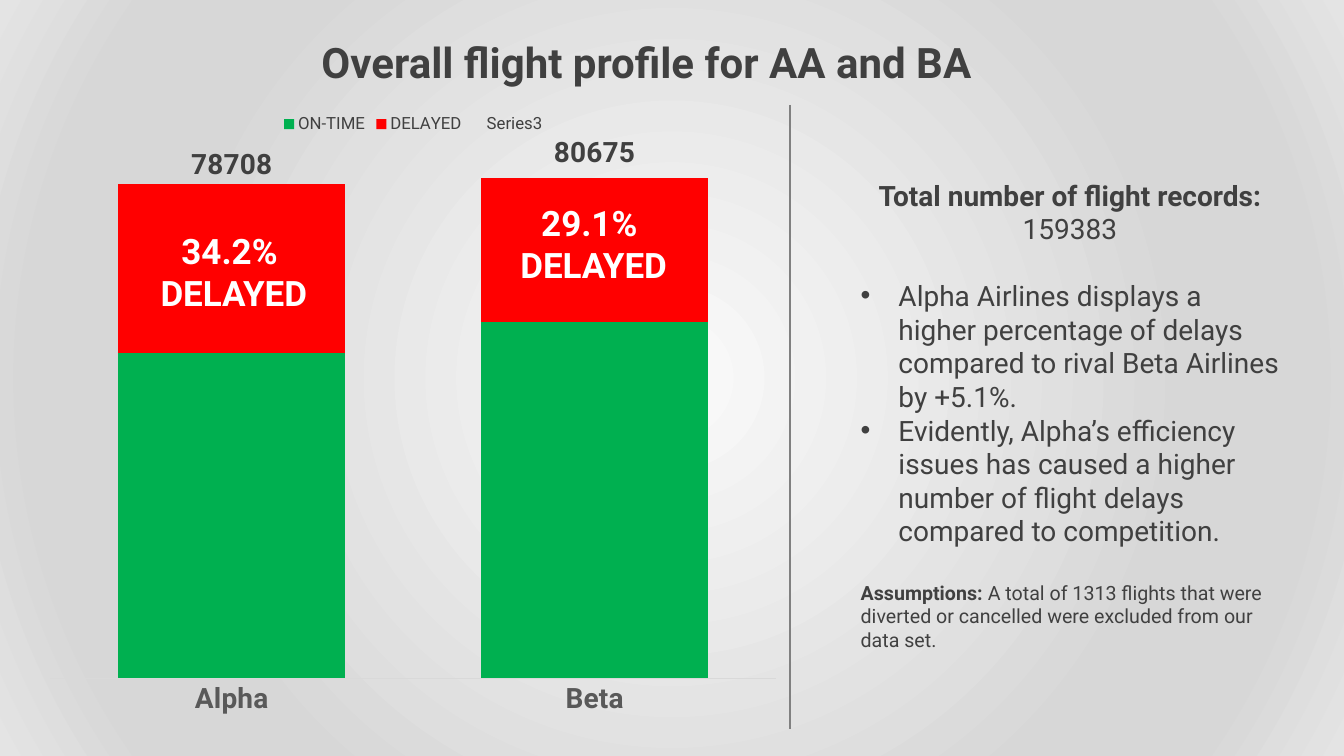
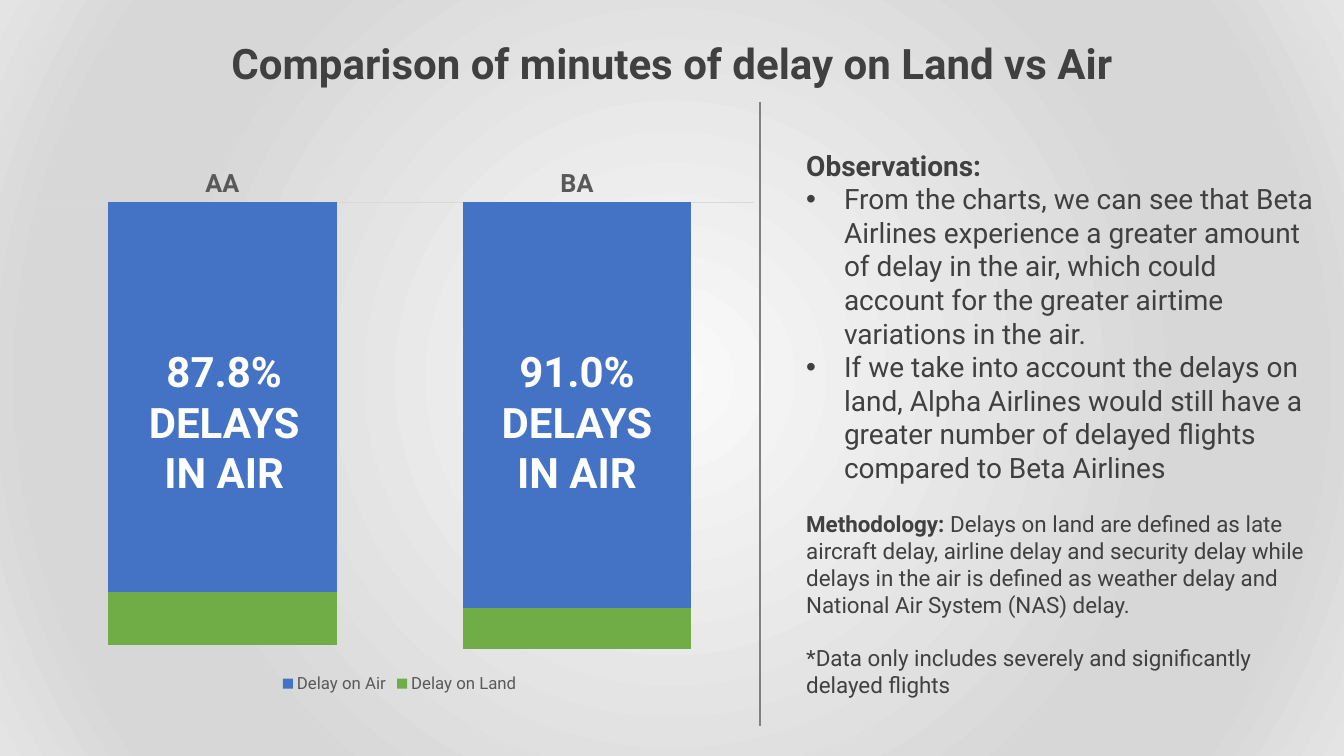
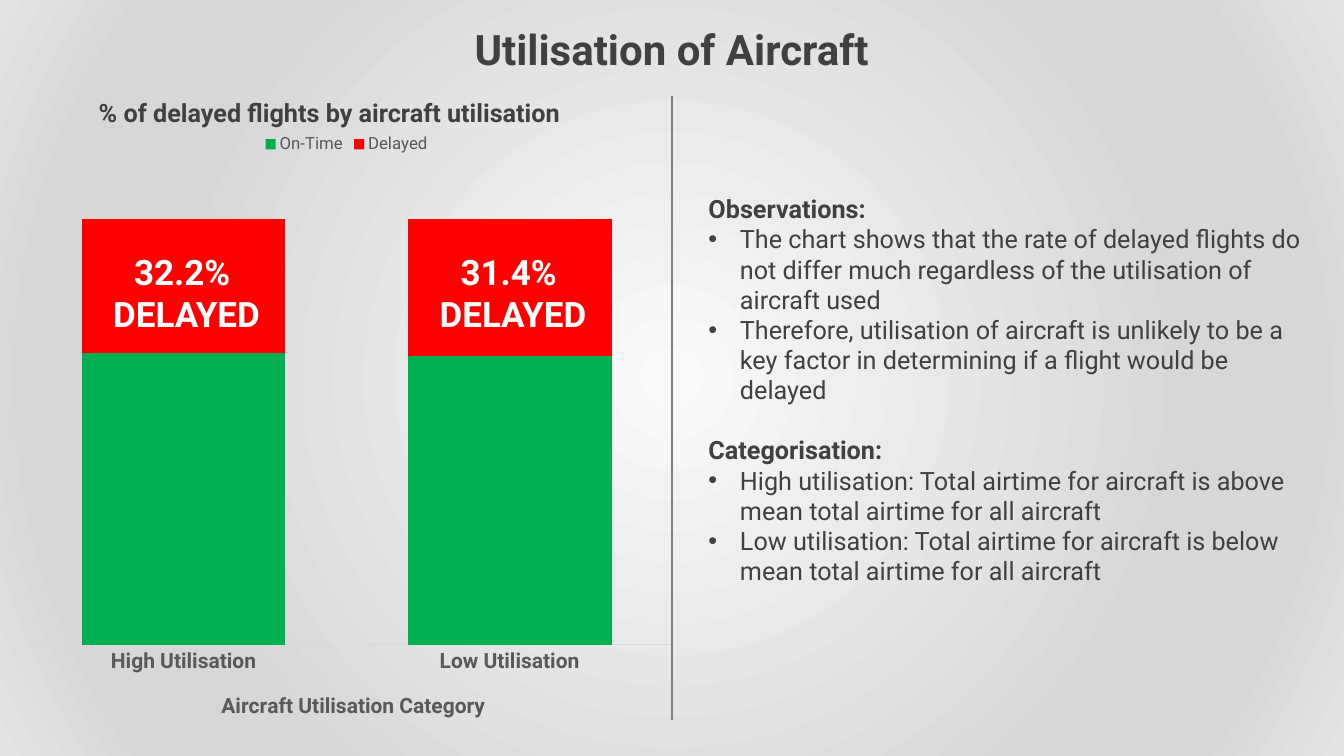
from dataclasses import dataclass
from typing import Optional

from pptx import Presentation
from pptx import util as u
from pptx.chart import data as chart_data
from pptx.dml import color
from pptx.enum import chart as charts, shapes, text
from pptx.oxml import ns, parse_xml
from pptx.oxml import xmlchemy as ox


@dataclass(frozen=True)
class Theme:
    font: str = "Roboto"
    chart_font: str = "Calibri"
    ink: str = "404040"
    axis_ink: str = "595959"
    axis_line: str = "D9D9D9"
    divider: str = "808080"
    white: str = "FFFFFF"
    green: str = "00B050"
    red: str = "FF0000"
    blue: str = "4472C4"
    leaf: str = "70AD47"
    backdrop: tuple = ((0, "FAFAFA"), (68, "D7D7D7"), (83, "D7D7D7"), (100, "E4E4E4"))
    title_size: float = 30
    tag_size: float = 25
    large_size: float = 20
    medium_size: float = 18
    note_size: float = 16
    small_size: float = 14
    legend_size: float = 12
    line_height: float = 1.18


THEME = Theme()
CENTER = text.PP_ALIGN.CENTER
DIVIDER_HEIGHT = 445.7
TITLE_HEIGHT = 44


@dataclass(frozen=True)
class Box:
    left: float
    top: float
    width: float
    height: float

    def lengths(self) -> tuple:
        return tuple(u.Pt(v) for v in (self.left, self.top, self.width, self.height))


@dataclass(frozen=True)
class Para:
    """A paragraph: a bold lead followed by regular words."""
    lead: str = ""
    words: str = ""
    size: float = THEME.large_size
    ink: str = THEME.ink
    align: Optional[text.PP_ALIGN] = None
    indent: float = 0
    gap: float = 0


@dataclass(frozen=True)
class Series:
    name: str
    values: tuple
    fill: str


@dataclass(frozen=True)
class Bars:
    """A stacked column chart; plot holds fractions of the chart frame."""
    box: Box
    plot: Box
    categories: tuple
    series: tuple
    maximum: float
    gap: int
    label_size: float
    legend_ink: str
    reverse: bool = False
    axis_title: str = ""
    totals: tuple = ()


def rgb(value: str) -> color.RGBColor:
    return color.RGBColor.from_string(value)


def style(font, size: float, ink: str, bold: bool = False) -> None:
    font.name = THEME.font
    font.size = u.Pt(size)
    font.bold = bold
    font.color.rgb = rgb(ink)


def set_backdrop(layout) -> None:
    stops = "".join(
        f'<a:gs pos="{place * 1000}"><a:srgbClr val="{shade}"/></a:gs>'
        for place, shade in THEME.backdrop
    )
    layout.element.cSld.insert(0, parse_xml(
        f'<p:bg {ns.nsdecls("p", "a")}><p:bgPr><a:gradFill rotWithShape="1">'
        f'<a:gsLst>{stops}</a:gsLst><a:path path="circle">'
        '<a:fillToRect l="50000" t="50000" r="50000" b="50000"/></a:path>'
        '</a:gradFill><a:effectLst/></p:bgPr></p:bg>'
    ))


def add_bullet(para, indent: float) -> None:
    props = para._p.get_or_add_pPr()
    props.set("marL", str(u.Pt(indent)))
    props.set("indent", str(-u.Pt(indent)))
    for tag in ('buFont typeface="Arial"', 'buChar char="•"'):
        props.append(parse_xml(f'<a:{tag} {ns.nsdecls("a")}/>'))


def add_text(slide, box: Box, paras: list, wrap: bool = False) -> None:
    frame = slide.shapes.add_textbox(*box.lengths()).text_frame
    frame.word_wrap = wrap
    frame.auto_size = text.MSO_AUTO_SIZE.SHAPE_TO_FIT_TEXT
    for number, item in enumerate(paras):
        para = frame.add_paragraph() if number else frame.paragraphs[0]
        if item.indent:
            add_bullet(para, item.indent)
        if item.align is not None:
            para.alignment = item.align
        if item.gap:
            para.space_before = u.Pt(item.gap)
        for words, bold in ((item.lead, True), (item.words, False)):
            if words:
                span = para.add_run()
                span.text = words
                style(span.font, item.size, item.ink, bold)


def add_title(slide, words: str, left: float, top: float, width: float,
              align: Optional[text.PP_ALIGN] = CENTER) -> None:
    add_text(slide, Box(left, top, width, TITLE_HEIGHT),
             [Para(words, size=THEME.title_size, align=align)])


def add_tag(slide, box: Box, lines: tuple, size: float) -> None:
    """Write a white label over a column."""
    add_text(slide, box, [Para(line, size=size, ink=THEME.white, align=CENTER) for line in lines])


def add_divider(slide, x: float, top: float) -> None:
    line = slide.shapes.add_connector(
        shapes.MSO_CONNECTOR.STRAIGHT, u.Pt(x), u.Pt(top), u.Pt(x), u.Pt(top + DIVIDER_HEIGHT))
    line.line.color.rgb = rgb(THEME.divider)
    line.line.width = u.Pt(1.5)
    line._element.spPr.append(parse_xml(f'<a:effectLst {ns.nsdecls("a")}/>'))


def manual_layout(entries: dict, inner: bool = False):
    target = '<c:layoutTarget val="inner"/>' if inner else ""
    modes = '<c:xMode val="edge"/><c:yMode val="edge"/>'
    values = "".join(f'<c:{key} val="{value}"/>' for key, value in entries.items())
    return parse_xml(f'<c:layout {ns.nsdecls("c")}><c:manualLayout>'
                     f'{target}{modes}{values}</c:manualLayout></c:layout>')


def replace_layout(parent, layout, position: int) -> None:
    for old in parent.findall(ns.qn("c:layout")):
        parent.remove(old)
    parent.insert(position, layout)


def show_totals(chart) -> None:
    """Turn the last column series into an unseen line that carries the totals."""
    columns = chart._chartSpace.xpath(".//c:barChart")[0]
    series = columns.findall(ns.qn("c:ser"))[-1]
    for flag in series.findall(ns.qn("c:invertIfNegative")):
        series.remove(flag)
    axes = "".join(f'<c:axId val="{axis.get("val")}"/>' for axis in columns.findall(ns.qn("c:axId")))
    line_chart = parse_xml(
        f'<c:lineChart {ns.nsdecls("c")}><c:grouping val="standard"/><c:varyColors val="0"/>'
        f'<c:marker val="1"/>{axes}</c:lineChart>')
    line_chart.insert(2, series)
    columns.addnext(line_chart)

    totals = chart.plots[1].series[0]
    totals.smooth = False
    totals.format.line.fill.background()
    totals.marker.style = charts.XL_MARKER_STYLE.NONE
    labels = totals.data_labels
    labels.show_value = True
    labels.position = charts.XL_LABEL_POSITION.ABOVE
    style(labels.font, THEME.large_size, THEME.ink, True)


def add_bars(slide, bars: Bars) -> None:
    data = chart_data.CategoryChartData()
    data.categories = bars.categories
    for item in bars.series:
        data.add_series(item.name, item.values)
    if bars.totals:
        data.add_series("Series3", bars.totals)
    chart = slide.shapes.add_chart(
        charts.XL_CHART_TYPE.COLUMN_STACKED, *bars.box.lengths(), data).chart
    chart.has_title = False
    chart.font.name = THEME.chart_font
    chart.font.size = u.Pt(10)

    plot = chart.plots[0]
    plot.gap_width = bars.gap
    plot.overlap = 100
    plot.vary_by_categories = False
    for item, column in zip(bars.series, plot.series):
        column.format.fill.solid()
        column.format.fill.fore_color.rgb = rgb(item.fill)

    values = chart.value_axis
    values.visible = False
    values.has_major_gridlines = False
    values.minimum_scale = 0
    values.maximum_scale = bars.maximum
    values.reverse_order = bars.reverse

    names = chart.category_axis
    names.major_tick_mark = charts.XL_TICK_MARK.NONE
    names.format.line.color.rgb = rgb(THEME.axis_line)
    names.format.line.width = u.Pt(0.75)
    style(names.tick_labels.font, bars.label_size, THEME.axis_ink, True)
    if bars.axis_title:
        title = names.axis_title
        title.text_frame.text = bars.axis_title
        style(title.text_frame.paragraphs[0].runs[0].font, bars.label_size, THEME.axis_ink, True)
        replace_layout(title._element, manual_layout({"x": 0.31, "y": 0.92}), 1)

    chart.has_legend = True
    places = charts.XL_LEGEND_POSITION
    chart.legend.position = places.BOTTOM if bars.reverse else places.TOP
    chart.legend.include_in_layout = not bars.reverse
    style(chart.legend.font, THEME.legend_size, bars.legend_ink)

    area = bars.plot
    replace_layout(
        chart._chartSpace.xpath(".//c:plotArea")[0],
        manual_layout({"x": area.left, "y": area.top, "w": area.width, "h": area.height}, True), 0)
    if bars.totals:
        show_totals(chart)


def build_profile(slide) -> None:
    add_bars(slide, Bars(
        Box(25.2, 73.4, 540, 447), Box(0.02, 0.02, 0.96, 0.9), ("Alpha", "Beta"),
        (Series("ON-TIME", (52000, 57000), THEME.green),
         Series("DELAYED", (27000, 23000), THEME.red)),
        maximum=90000, gap=60, label_size=THEME.large_size, legend_ink=THEME.ink,
        totals=(78708, 80675)))
    add_title(slide, "Overall flight profile for AA and BA", 222.5, 22.3, 514, align=None)
    add_divider(slide, 564.5, 74.9)
    gap = THEME.large_size * THEME.line_height
    add_text(slide, Box(607.7, 123.8, 313.2, 373), [
        Para("Total number of flight records:", align=CENTER),
        Para(words="159383", align=CENTER),
        Para(words="Alpha Airlines displays a higher percentage of delays compared to rival "
                   "Beta Airlines by +5.1%.", indent=27, gap=gap),
        Para(words="Evidently, Alpha’s efficiency issues has caused a higher number of flight "
                   "delays compared to competition.", indent=27),
        Para("Assumptions: ", "A total of 1313 flights that were diverted or cancelled were "
             "excluded from our data set.", size=THEME.small_size, gap=gap),
    ], wrap=True)
    for left, top, share in ((100.8, 160.6, "34.2% "), (357.8, 140.4, "29.1% ")):
        add_tag(slide, Box(left, top, 132.5, 67.7), (share, "DELAYED"), THEME.tag_size)


def build_land_and_air(slide) -> None:
    add_bars(slide, Bars(
        Box(21.6, 113.8, 527.8, 384.5), Box(0.02, 0.08, 0.96, 0.83), ("AA", "BA"),
        (Series("Delay on Air", (96, 100), THEME.blue),
         Series("Delay on Land", (13, 10), THEME.leaf)),
        maximum=110, gap=55, label_size=THEME.medium_size, legend_ink=THEME.axis_ink,
        reverse=True))
    for left, share in ((92.9, "87.8%"), (344.9, "91.0%")):
        add_tag(slide, Box(left, 243.4, 134.6, 116.6), (share, "DELAYS", "IN AIR"),
                THEME.title_size)
    add_title(slide, "Comparison of minutes of delay on Land vs Air", 133.2, 23, 694)
    add_divider(slide, 542.9, 72.7)
    size = THEME.note_size
    gap = size * THEME.line_height
    add_text(slide, Box(568.8, 102.2, 379.4, 404.6), [
        Para("Observations:"),
        Para(words="From the charts, we can see that Beta Airlines experience a greater amount "
                   "of delay in the air, which could account for the greater airtime variations "
                   "in the air.", indent=27),
        Para(words="If we take into account the delays on land, Alpha Airlines would still have "
                   "a greater number of delayed flights compared to Beta Airlines", indent=27),
        Para("Methodology: ", "Delays on land are defined as late aircraft delay, airline delay "
             "and security delay while delays in the air is defined as weather delay and "
             "National Air System (NAS) delay.", size=size, gap=gap),
        Para(words="*Data only includes severely and significantly delayed flights",
             size=size, gap=gap),
    ], wrap=True)


def build_utilisation(slide) -> None:
    add_bars(slide, Bars(
        Box(5, 87.8, 485.3, 438.5), Box(0.02, 0.09, 0.96, 0.76),
        ("High Utilisation", "Low Utilisation"),
        (Series("On-Time", (100, 99), THEME.green), Series("Delayed", (46, 47), THEME.red)),
        maximum=160, gap=60, label_size=15, legend_ink=THEME.axis_ink,
        axis_title="Aircraft Utilisation Category"))
    add_title(slide, "Utilisation of Aircraft", 116.6, 13, 726.5)
    size = THEME.medium_size
    add_text(slide, Box(63.4, 66.2, 368.6, 28.8),
             [Para("% of delayed flights by aircraft utilisation", size=size)])
    for left, share in ((67, "32.2% "), (300.2, "31.4% ")):
        add_tag(slide, Box(left, 175.7, 132.5, 67.7), (share, "DELAYED"), THEME.tag_size)
    add_divider(slide, 480.2, 68.4)
    sections = {
        "Observations:": (
            "The chart shows that the rate of delayed flights do not differ much regardless of "
            "the utilisation of aircraft used",
            "Therefore, utilisation of aircraft is unlikely to be a key factor in determining "
            "if a flight would be delayed"),
        "Categorisation:": (
            "High utilisation: Total airtime for aircraft is above mean total airtime for all "
            "aircraft",
            "Low utilisation: Total airtime for aircraft is below mean total airtime for all "
            "aircraft"),
    }
    paras = []
    for heading, points in sections.items():
        paras.append(Para(heading, size=size, gap=size * THEME.line_height if paras else 0))
        paras += [Para(words=point, size=size, indent=22.5) for point in points]
    add_text(slide, Box(499, 134.6, 449.3, 312.5), paras, wrap=True)


def main() -> None:
    deck = Presentation()
    deck.slide_width, deck.slide_height = u.Pt(960), u.Pt(540)
    blank = deck.slide_layouts[6]
    set_backdrop(blank)
    for build in (build_profile, build_land_and_air, build_utilisation):
        build(deck.slides.add_slide(blank))
    deck.save("out.pptx")


if __name__ == "__main__":
    main()
